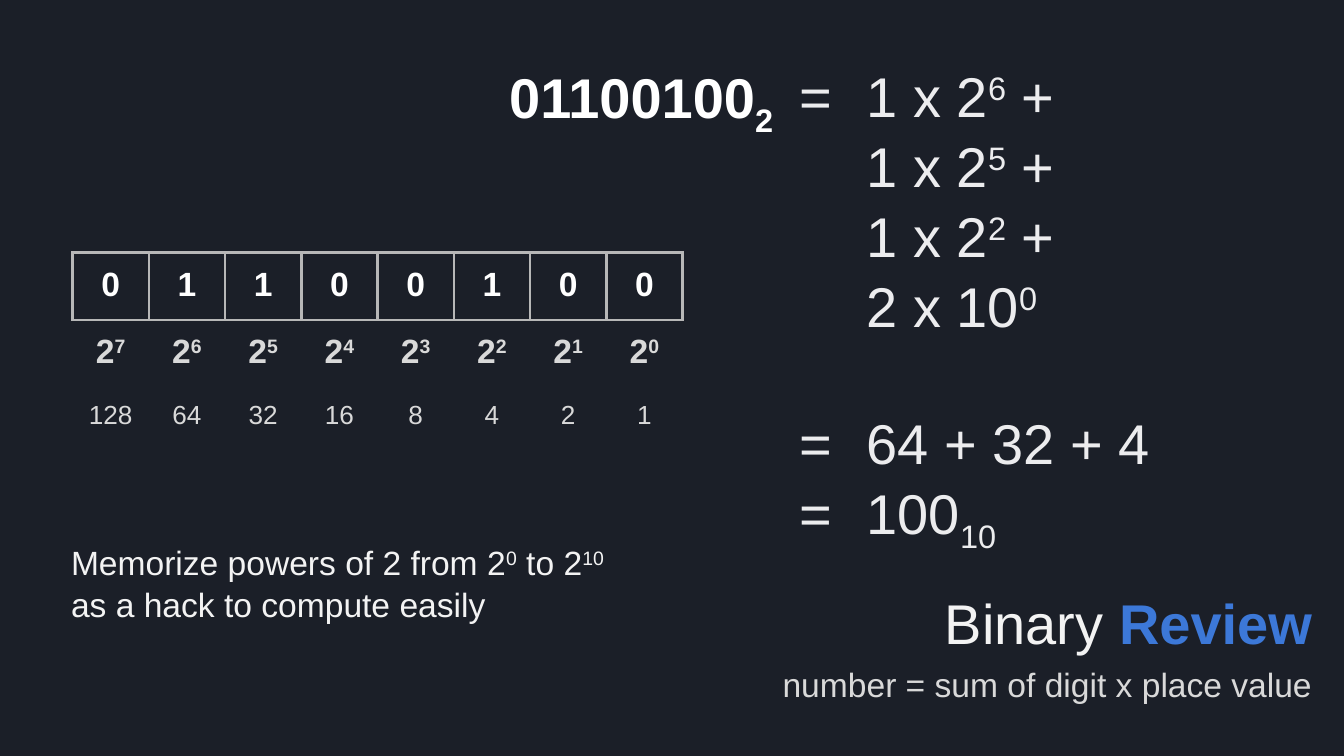
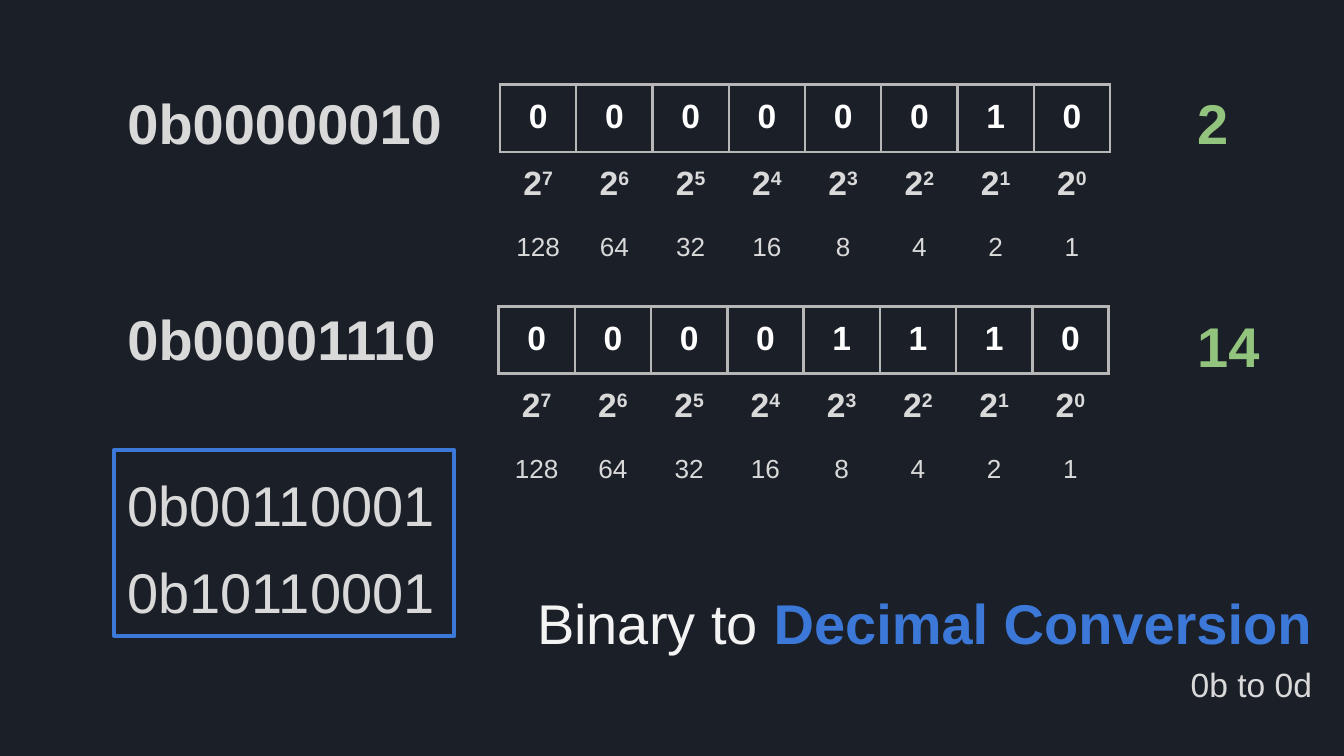
from dataclasses import dataclass

from lxml import etree
from pptx import Presentation
from pptx.dml.color import RGBColor
from pptx.enum.shapes import MSO_SHAPE
from pptx.enum.text import MSO_ANCHOR, PP_ALIGN
from pptx.oxml.ns import qn
from pptx.util import Emu, Inches, Pt

RECT = MSO_SHAPE.RECTANGLE
TOP, BOTTOM = MSO_ANCHOR.TOP, MSO_ANCHOR.BOTTOM
LEFT, MID, RIGHT = PP_ALIGN.LEFT, PP_ALIGN.CENTER, PP_ALIGN.RIGHT

WIDTH, HEIGHT = Inches(10), Inches(5.625)
UNIT = WIDTH / 100  # one grid column or row
BITS = 8


@dataclass(frozen=True)
class Theme:
    font: str = "Arial"
    back: str = "1B1F28"
    white: str = "FFFFFF"
    light: str = "F3F3F3"
    pale: str = "ECECEE"
    grey: str = "D9D9D9"
    rule: str = "B7B7B7"
    blue: str = "3C78D8"
    green: str = "93C47D"
    big: int = 30
    body: int = 18
    small: int = 14
    lead: float = 1.04
    thin: float = 1.5
    thick: float = 2.25


THEME = Theme()


def grid(*cells):
    return [Emu(round(cell * UNIT)) for cell in cells]


def rgb(code):
    return RGBColor.from_string(code)


def write(para, text, size, color, bold=False):
    """Split text at bars: ^ raises a part, _ lowers it, * makes it a bold accent."""
    for part in text.split("|"):
        mark = part[0] if part[0] in "^_*" else ""
        run = para.add_run()
        run.text = part[len(mark):]
        look = {"name": THEME.font, "size": Pt(size), "bold": bold or mark == "*"}
        for key, value in look.items():
            setattr(run.font, key, value)
        run.font.color.rgb = rgb(THEME.blue if mark == "*" else color)
        shift = {"^": 30000, "_": -25000}.get(mark)
        if shift:
            run.font._element.set("baseline", str(shift))


def frame(slide, box, anchor=TOP):
    body = slide.shapes.add_textbox(*grid(*box)).text_frame
    look = {"word_wrap": True, "vertical_anchor": anchor}
    look.update({f"margin_{side}": Inches(0.1)
                 for side in ("left", "right", "top", "bottom")})
    for key, value in look.items():
        setattr(body, key, value)
    return body


def label(slide, box, text, size, color, bold=False, align=LEFT, anchor=TOP, before=0):
    para = frame(slide, box, anchor).paragraphs[0]
    look = {"alignment": align, "line_spacing": THEME.lead, "space_before": Pt(before)}
    for key, value in look.items():
        setattr(para, key, value)
    write(para, text, size, color, bold)


def steps(slide, box, lines):
    """Write lines of (text, tab stop, left indent, space before)."""
    body = frame(slide, box)
    for row, (text, tab, indent, before) in enumerate(lines):
        para = body.add_paragraph() if row else body.paragraphs[0]
        para.line_spacing = THEME.lead
        para.space_before = Pt(before)
        props = para._p.get_or_add_pPr()
        props.set("marL", str(Inches(indent)))
        props.set("indent", "0")
        if tab:
            stops = etree.SubElement(props, qn("a:tabLst"))
            etree.SubElement(stops, qn("a:tab"), pos=str(Inches(tab)), algn="l")
        write(para, text, THEME.big, THEME.pale)


def edge(cell, sides):
    """Rule the named sides of a cell and clear the others."""
    props = cell._tc.get_or_add_tcPr()
    for side in "LRTB":
        line = etree.SubElement(props, qn(f"a:ln{side}"), w=str(Pt(THEME.thin)))
        if side in sides:
            fill = etree.SubElement(line, qn("a:solidFill"))
            etree.SubElement(fill, qn("a:srgbClr"), val=THEME.rule)
        else:
            etree.SubElement(line, qn("a:noFill"))


def places(slide, left, top, bits):
    """Table of the bits over their powers of two and place values."""
    powers = range(BITS - 1, -1, -1)
    rows = [
        (3, "LRTB", THEME.body, THEME.white, True, bits),
        (4.2, "T", THEME.body, THEME.grey, True, [f"2|^{power}" for power in powers]),
        (4.2, "", THEME.small, THEME.grey, False, [str(2 ** power) for power in powers]),
    ]
    box = grid(left, top, 45.4, sum(row[0] for row in rows))
    table = slide.shapes.add_table(len(rows), BITS, *box).table
    table.first_row = table.horz_banding = False
    for r, (high, sides, size, color, bold, texts) in enumerate(rows):
        table.rows[r].height = grid(high)[0]
        for c, text in enumerate(texts):
            cell = table.cell(r, c)
            edge(cell, sides)
            cell.fill.background()
            for side in ("left", "right", "top", "bottom"):
                setattr(cell, f"margin_{side}", Inches(0.1))
            para = cell.text_frame.paragraphs[0]
            para.alignment = MID
            write(para, text, size, color, bold)


def outline(slide, box):
    shape = slide.shapes.add_shape(RECT, *grid(*box))
    shape.shadow.inherit = False
    shape.fill.background()
    shape.line.color.rgb = rgb(THEME.blue)
    shape.line.width = Pt(THEME.thick)


def page(deck, title, note):
    """Add a dark slide with its title and note at the lower right."""
    slide = deck.slides.add_slide(deck.slide_layouts[6])
    fill = slide.background.fill
    fill.solid()
    fill.fore_color.rgb = rgb(THEME.back)
    label(slide, (5.4, 42, 93.2, 7.8), title, THEME.big, THEME.light,
          align=RIGHT, anchor=BOTTOM)
    label(slide, (5.4, 48.3, 93.2, 7.9), note, THEME.body, THEME.grey, align=RIGHT)
    return slide


def review(deck):
    slide = page(deck, "Binary |*Review", "number = sum of digit x place value")
    label(slide, (36.9, 3.4, 24.1, 8.7), "01100100|_2", THEME.big, THEME.white, True)
    steps(slide, (58.5, 3.4, 41.5, 37), [
        ("=\t1 x 2|^6| +", 1, 0, 0),
        ("\t1 x 2|^5| +", 1, 0, 0),
        ("1 x 2|^2| +", 0, 0.5, 0),
        ("2 x 10|^0", 0, 0.5, 0),
        ("=\t64 + 32 + 4", 0.47, 0, 36),
        ("=\t100|_10", 0.47, 0, 0),
    ])
    places(slide, 5.4, 18.8, "01100100")
    label(slide, (4.3, 39.2, 42.1, 10),
          "Memorize powers of 2 from 2|^0| to 2|^10| as a hack to compute easily",
          THEME.body, THEME.light, before=8.4)


def convert(deck):
    slide = page(deck, "Binary to |*Decimal Conversion", "0b to 0d")
    solved = [
        ("00000010", 5.4, 5.4, 37.2, 6.3),
        ("00001110", 21.5, 22, 37.1, 22.8),
    ]
    for bits, top, drop, left, head in solved:
        label(slide, (8.5, top, 27.8, 8.7), f"0b{bits}", THEME.big, THEME.grey, True)
        places(slide, left, head, bits)
        label(slide, (88.1, drop, 7.4, 8.7), str(int(bits, 2)),
              THEME.big, THEME.green, True)
    for row, bits in enumerate(("00110001", "10110001")):
        label(slide, (8.5, 33.8 + 6.5 * row, 27.8, 8.7), f"0b{bits}",
              THEME.big, THEME.grey)
    outline(slide, (8.5, 33.5, 25.3, 13.8))


def main():
    deck = Presentation()
    deck.slide_width, deck.slide_height = WIDTH, HEIGHT
    review(deck)
    convert(deck)
    deck.save("out.pptx")


if __name__ == "__main__":
    main()
